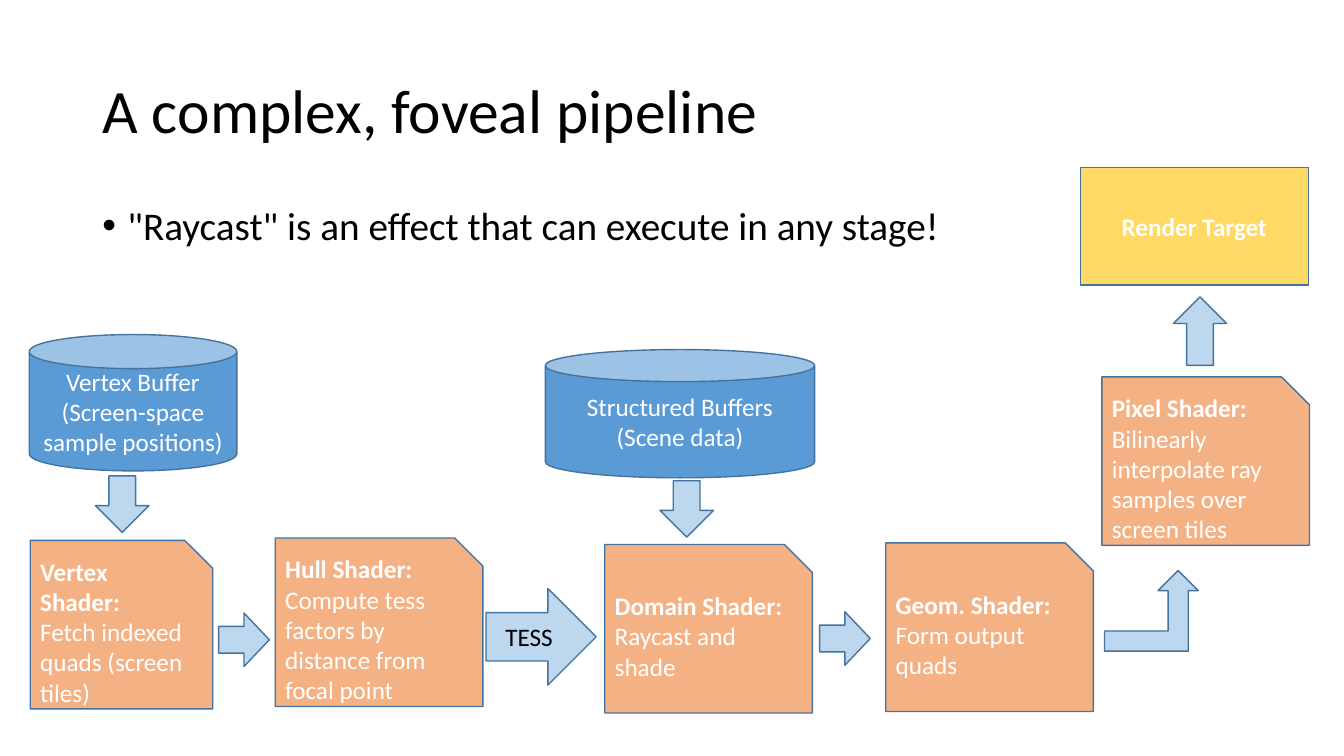
from pptx import Presentation
from pptx.dml.color import RGBColor
from pptx.enum.shapes import MSO_SHAPE as SHAPE
from pptx.enum.text import MSO_ANCHOR as ANCHOR, MSO_AUTO_SIZE as AUTO, PP_ALIGN as ALIGN
from pptx.oxml.ns import qn
from pptx.util import Pt
from lxml.etree import SubElement

TITLE = "A complex, foveal pipeline"
BULLET = '"Raycast" is an effect that can execute in any stage!'
FONT = "Calibri"
BLACK, WHITE, OUTLINE = "000000", "FFFFFF", "43739E"
BUFFER_FILL, STAGE_FILL, TARGET_FILL, ARROW_FILL = "5B9BD5", "F4B183", "FFD966", "BDD7EE"
STAGE_W, STAGE_H = 148.3, 120.4

BUFFERS = [
    ((389.5, 249.7, 192.4, 91.6), "Structured Buffers", "(Scene data)"),
    ((20.9, 239, 148.3, 97.4), "Vertex Buffer", "(Screen-space sample positions)"),
]
STAGES = [
    (21.6, 386, 130.4, "Vertex Shader:", "Fetch indexed quads (screen tiles)"),
    (196.6, 384.3, STAGE_W, "Hull Shader:", "Compute tess factors by distance from focal point"),
    (432, 388.9, STAGE_W, "Domain Shader:", "Raycast and shade"),
    (632.7, 387.8, STAGE_W, "Geom. Shader:", "Form output quads"),
    (787.1, 269.2, STAGE_W, "Pixel Shader:", "Bilinearly interpolate ray samples over screen tiles"),
]
TARGET = ((771.7, 119.5, 163, 84), "Render Target")
ARROWS = [
    (SHAPE.UP_ARROW, (838.1, 212, 38.2, 49), ""),
    (SHAPE.RIGHT_ARROW, (156.2, 437.9, 36.2, 38.2), ""),
    (SHAPE.RIGHT_ARROW, (347.2, 420.4, 78.7, 69), "TESS"),
    (SHAPE.RIGHT_ARROW, (585.4, 437, 36.2, 38.2), ""),
    (SHAPE.BENT_UP_ARROW, (789, 407.5, 67, 57.6), ""),
    (SHAPE.DOWN_ARROW, (68.2, 340, 38.2, 40.3), ""),
    (SHAPE.DOWN_ARROW, (471.4, 343.4, 38.2, 40.3), ""),
]


def rgb(value):
    return RGBColor.from_string(value)


def place(shape, box):
    for name, value in zip(("left", "top", "width", "height"), box):
        setattr(shape, name, Pt(value))


def write(shape, lines, color, size=18, align=ALIGN.CENTER, anchor=ANCHOR.MIDDLE, **para):
    tf = shape.text_frame
    frame = {"word_wrap": True, "auto_size": AUTO.NONE, "vertical_anchor": anchor}
    for name, value in frame.items():
        setattr(tf, name, value)
    for i, (text, bold) in enumerate(lines):
        p = tf.paragraphs[0] if i == 0 else tf.add_paragraph()
        for name, value in {"alignment": align, **para}.items():
            setattr(p, name, value)
        r = p.add_run()
        r.text = text
        for name, value in {"name": FONT, "size": Pt(size), "bold": bold}.items():
            setattr(r.font, name, value)
        r.font.color.rgb = rgb(color)


def add_block(s, kind, box, fill):
    sp = s.shapes.add_shape(kind, *map(Pt, box))
    sp.shadow.inherit = False
    sp.fill.solid()
    sp.fill.fore_color.rgb = rgb(fill)
    sp.line.color.rgb = rgb(OUTLINE)
    sp.line.width = Pt(1)
    return sp


def add_heading(s):
    title = s.shapes.title
    place(title, (66, 28.8, 828, 104.4))
    write(title, [(TITLE, False)], BLACK, 44, ALIGN.LEFT, line_spacing=0.9)
    body = s.shapes.add_textbox(*map(Pt, (66, 143.8, 828, 42.5)))
    write(body, [(BULLET, False)], BLACK, 28, ALIGN.LEFT, ANCHOR.TOP,
          line_spacing=0.9, space_before=Pt(10))
    pPr = body.text_frame.paragraphs[0]._p.get_or_add_pPr()
    pPr.set("marL", str(Pt(18)))
    pPr.set("indent", str(Pt(-18)))
    SubElement(pPr, qn("a:buFont"), typeface="Arial")
    SubElement(pPr, qn("a:buChar"), char="•")


def main():
    prs = Presentation()
    prs.slide_width, prs.slide_height = Pt(960), Pt(540)
    s = prs.slides.add_slide(prs.slide_layouts[5])
    add_heading(s)
    for box, name, detail in BUFFERS:
        sp = add_block(s, SHAPE.CAN, box, BUFFER_FILL)
        write(sp, [(name, False), (detail, False)], WHITE)
    for left, top, width, name, detail in STAGES:
        sp = add_block(s, SHAPE.SNIP_1_RECTANGLE, (left, top, width, STAGE_H), STAGE_FILL)
        write(sp, [(name, True), (detail, False)], WHITE, align=ALIGN.LEFT)
    box, name = TARGET
    write(add_block(s, SHAPE.RECTANGLE, box, TARGET_FILL), [(name, True)], WHITE)
    for kind, box, label in ARROWS:
        sp = add_block(s, kind, box, ARROW_FILL)
        if label:
            write(sp, [(label, False)], BLACK)
    prs.save("out.pptx")


if __name__ == "__main__":
    main()
